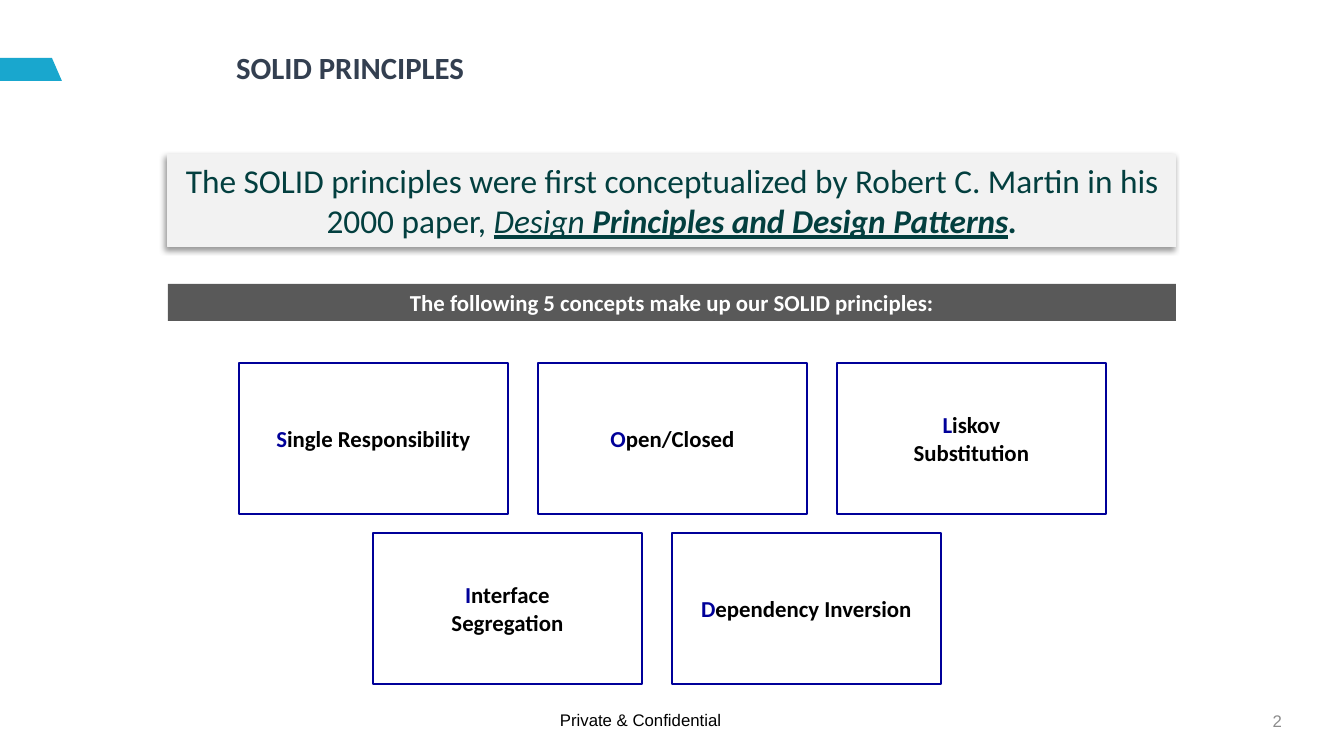
"""Build the SOLID principles slide."""
from lxml import etree
from pptx import Presentation
from pptx.dml.color import RGBColor
from pptx.enum.shapes import MSO_SHAPE
from pptx.enum.text import MSO_ANCHOR, PP_ALIGN
from pptx.oxml import parse_xml
from pptx.oxml.ns import nsdecls, qn
from pptx.util import Emu, Pt

SCALE = 914400 / 100.8
RECT = MSO_SHAPE.RECTANGLE
MIDDLE, TOP = MSO_ANCHOR.MIDDLE, MSO_ANCHOR.TOP
LEFT, CENTER, RIGHT = PP_ALIGN.LEFT, PP_ALIGN.CENTER, PP_ALIGN.RIGHT
WHITE = RGBColor(0xFF, 0xFF, 0xFF)
BLACK = RGBColor(0, 0, 0)
SLATE = RGBColor(0x33, 0x3F, 0x50)
TEAL = RGBColor(0x03, 0x3F, 0x3F)
CYAN = RGBColor(0x19, 0xA7, 0xCE)
PALE = RGBColor(0xF2, 0xF2, 0xF2)
DARK = RGBColor(0x59, 0x59, 0x59)
GRAY = RGBColor(0x8C, 0x8C, 0x8C)
NAVY = RGBColor(0x00, 0x00, 0x99)
SHADOW = (
    f'<a:outerShdw {nsdecls("a")} blurRad="50800" dist="38100" dir="8100000" '
    'algn="tr" rotWithShape="0"><a:srgbClr val="000000">'
    '<a:alpha val="40000"/></a:srgbClr></a:outerShdw>'
)
INTRO = (
    ("The SOLID principles were first conceptualized by Robert C. Martin "
     "in his 2000 paper,\u00a0", False, False, False),
    ("Design ", False, True, True),
    ("Principles and Design Patterns", True, True, True),
    (".", True, True, False),
)
ROWS = (
    (239, ("Single Responsibility", "Open/Closed", "Liskov\nSubstitution")),
    (373, ("Interface\nSegregation", "Dependency Inversion")),
)
CARD_TOP, CARD_WIDTH, CARD_HEIGHT = 363, 269, 151
COL_STEP, ROW_STEP = 299, 170


def px(*sizes):
    """Turn pixels into EMU."""
    return [Emu(round(size * SCALE)) for size in sizes]


def style(para, size, color, bold=False, align=CENTER, face="Calibri"):
    """Set the font and alignment of a paragraph."""
    para.alignment = align
    font = para.font
    font.name, font.size, font.bold = face, Pt(size), bold
    font.color.rgb = color


def add_box(slide, area, fill, line=None, width=1):
    """Add a flat rectangle and return it."""
    box = slide.shapes.add_shape(RECT, *px(*area))
    box.shadow.inherit = False
    box.fill.solid()
    box.fill.fore_color.rgb = fill
    if line is None:
        box.line.fill.background()
    else:
        box.line.color.rgb = line
        box.line.width = Pt(width)
    box.text_frame.word_wrap = True
    box.text_frame.vertical_anchor = MIDDLE
    return box


def add_label(slide, area, text, color, align, anchor, wrap):
    """Add a small footer text."""
    frame = slide.shapes.add_textbox(*px(*area)).text_frame
    frame.word_wrap, frame.vertical_anchor = wrap, anchor
    frame.text = text
    style(frame.paragraphs[0], 12, color, align=align, face="Arial")


def add_title(slide, text):
    """Place and fill the title."""
    title = slide.shapes.title
    title.left, title.top, title.width, title.height = px(226, 37, 806, 66)
    frame = title.text_frame
    frame.text, frame.vertical_anchor = text, MIDDLE
    para = frame.paragraphs[0]
    para.line_spacing = 0.9
    style(para, 22, SLATE, True, LEFT)


def add_tab(slide):
    """Add the slanted tab at the left edge."""
    pen = slide.shapes.build_freeform(52, 58, scale=SCALE)
    pen.add_line_segments([(0, 58), (0, 81), (62, 81)], close=True)
    tab = pen.convert_to_shape()
    tab.shadow.inherit = False
    tab.fill.solid()
    tab.fill.fore_color.rgb = CYAN
    tab.line.fill.background()


def add_intro(slide):
    """Add the shaded introduction with its mixed runs."""
    box = add_box(slide, (168, 154, 1008, 93), PALE, PALE, 0.75)
    effects = box._element.spPr.find(qn("a:effectLst"))
    etree.SubElement(effects, qn("a:outerShdw"))
    effects.replace(effects[0], parse_xml(SHADOW))
    para = box.text_frame.paragraphs[0]
    style(para, 23.8, TEAL)
    for text, bold, italic, under in INTRO:
        run = para.add_run()
        run.text = text
        font = run.font
        font.bold, font.italic, font.underline = bold, italic, under


def add_band(slide, text):
    """Add the dark heading band."""
    frame = add_box(slide, (168, 284, 1008, 37), DARK).text_frame
    frame.text = text
    style(frame.paragraphs[0], 16.3, WHITE, True)


def add_card(slide, left, top, text):
    """Add a card whose first letter is coloured."""
    area = (left, top, CARD_WIDTH, CARD_HEIGHT)
    frame = add_box(slide, area, WHITE, NAVY).text_frame
    frame.text = text
    for para in frame.paragraphs:
        style(para, 16.3, BLACK, True)
    first = frame.paragraphs[0]
    first.runs[0].text = text[0]
    first.runs[0].font.color.rgb = NAVY
    first.add_run().text = text.split("\n")[0][1:]


def main():
    """Build and save the slide."""
    deck = Presentation()
    deck.slide_width, deck.slide_height = px(1344, 756)
    slide = deck.slides.add_slide(deck.slide_layouts[5])
    add_label(slide, (990, 701, 302, 40), "2", GRAY, RIGHT, MIDDLE, True)
    add_tab(slide)
    add_label(slide, (550, 705, 182, 30), "Private & Confidential",
              BLACK, LEFT, TOP, False)
    add_title(slide, "SOLID PRINCIPLES")
    add_intro(slide)
    add_band(slide, "The following 5 concepts make up our SOLID principles:")
    for row, (left, names) in enumerate(ROWS):
        for col, name in enumerate(names):
            add_card(slide, left + col * COL_STEP,
                     CARD_TOP + row * ROW_STEP, name)
    deck.save("out.pptx")


if __name__ == "__main__":
    main()
